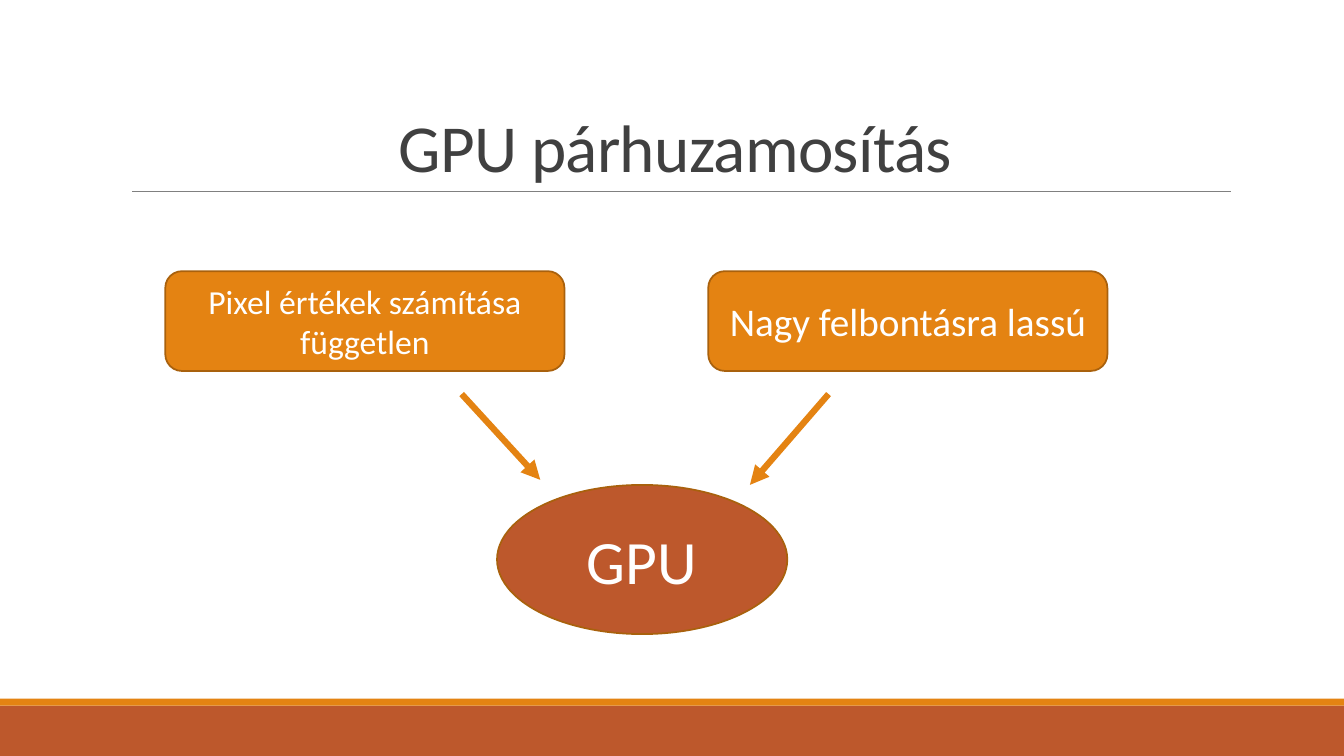
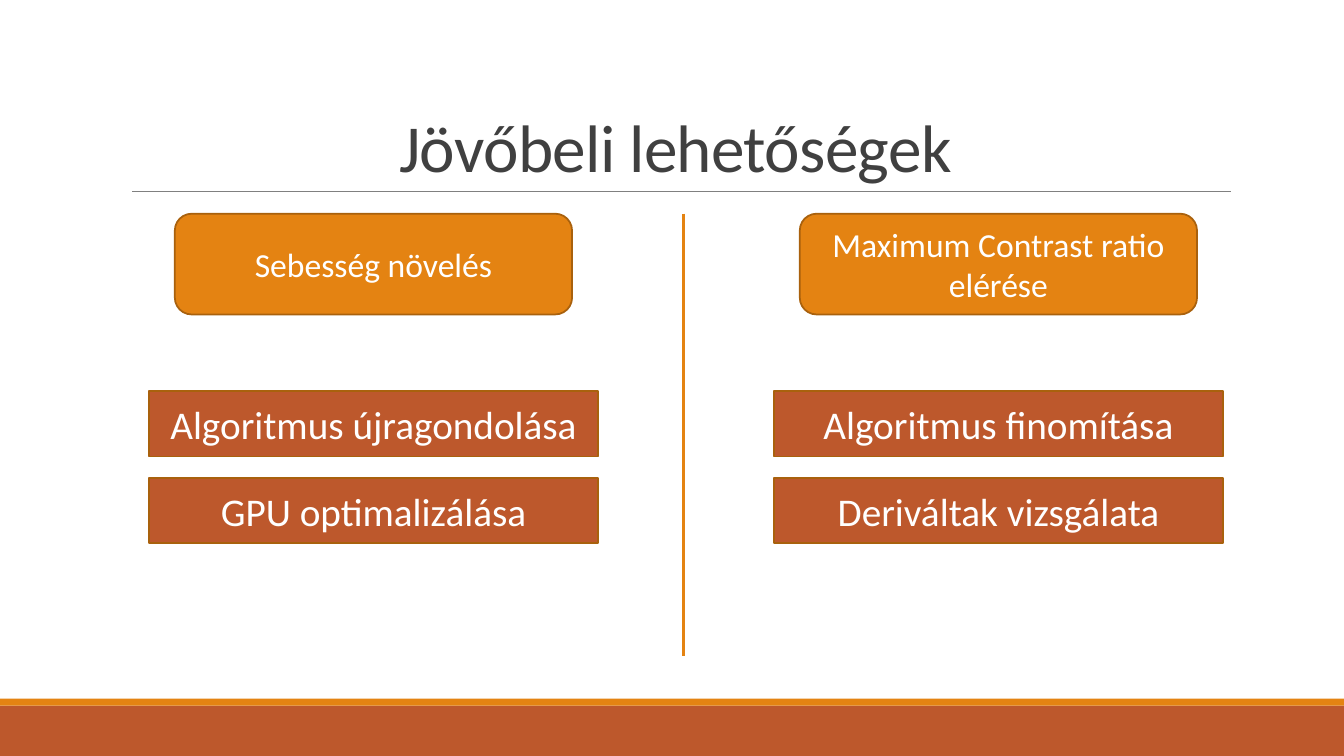
from pptx import Presentation
from pptx.dml.color import RGBColor
from pptx.enum.shapes import MSO_CONNECTOR, MSO_SHAPE
from pptx.enum.text import MSO_ANCHOR, PP_ALIGN
from pptx.oxml.ns import qn
from pptx.util import Inches, Pt
from lxml.etree import SubElement

# Grid: 100 columns by 100 rows on every slide
WIDE, HIGH = Inches(13.33), Inches(7.5)
COL, ROW = WIDE / 100, HIGH / 100

ORANGE, RUST, EDGE = "E48312", "BD582C", "A9610D"
DARK, GREY, WHITE = "404040", "808080", "FFFFFF"
FONT = "Calibri"


def color(code):
    return RGBColor.from_string(code)


def place(x, y, w, h):
    return round(x * COL), round(y * ROW), round(w * COL), round(h * ROW)


def write(shape, text, size, ink, anchor=MSO_ANCHOR.MIDDLE):
    frame = shape.text_frame
    frame.text = text
    frame.word_wrap = True
    frame.vertical_anchor = anchor
    para = frame.paragraphs[0]
    para.alignment = PP_ALIGN.CENTER
    font = para.runs[0].font
    font.name, font.size = FONT, Pt(size)
    font.color.rgb = color(ink)
    return para


def block(slide, kind, box, fill, text="", size=24, edge=EDGE):
    shape = slide.shapes.add_shape(kind, *place(*box))
    shape.shadow.inherit = False
    shape.fill.solid()
    shape.fill.fore_color.rgb = color(fill)
    if edge:
        shape.line.color.rgb = color(edge)
        shape.line.width = Pt(1.25)
    else:
        shape.line.fill.background()
    if text:
        write(shape, text, size, WHITE)


def stroke(slide, start, end, ink, width, arrow=False):
    ends = [round(v * unit) for point in (start, end)
            for v, unit in zip(point, (COL, ROW))]
    line = slide.shapes.add_connector(MSO_CONNECTOR.STRAIGHT, *ends)
    line.line.color.rgb = color(ink)
    line.line.width = Pt(width)
    props = line._element.spPr
    if arrow:
        SubElement(props.find(qn("a:ln")), qn("a:tailEnd"), type="triangle")
    SubElement(props, qn("a:effectLst"))


def base(deck, title):
    """Shared frame: bottom bands, title and rule."""
    slide = deck.slides.add_slide(deck.slide_layouts[6])
    for top, high, fill in ((93.33, 6.67, RUST), (92.4, 0.93, ORANGE)):
        block(slide, MSO_SHAPE.RECTANGLE, (0, top, 100, high), fill, edge=None)
    stroke(slide, (9.83, 25.33), (91.6, 25.33), GREY, 0.5)
    head = slide.shapes.add_textbox(*place(9, 4.13, 82.5, 21.2))
    para = write(head, title, 48, DARK, MSO_ANCHOR.BOTTOM)
    para.line_spacing = 0.85
    para.runs[0]._r.get_or_add_rPr().set("spc", "-50")
    return slide


def funnel(slide, box, causes, goal):
    """Two causes on top, each with an arrow to the goal below."""
    x, y, w, h = box
    wide, high = 29.7, 13.2
    for left, (text, size) in zip((x, x + w - wide), causes):
        block(slide, MSO_SHAPE.ROUNDED_RECTANGLE, (left, y, wide, high),
              ORANGE, text, size)
    # Goal, resting on the bottom of the box
    deep = 19.73
    block(slide, MSO_SHAPE.OVAL, (x + 24.68, y + h - deep, 21.6, deep),
          RUST, goal, 44)
    # Arrows, mirrored about the middle
    mid = x + 35.7
    for side, tip in ((-1, 27.6), (1, 28.27)):
        stroke(slide, (mid + side * 13.65, y + 16.26),
               (mid + side * 7.8, y + tip), ORANGE, 4.5, True)


def column(slide, box, head, steps):
    """A rounded heading centred above a stack of bars."""
    x, y, w, h = box
    wide, high, pitch = 29.56, 8.67, 11.47
    block(slide, MSO_SHAPE.ROUNDED_RECTANGLE,
          (x + (w - wide) / 2, y, wide, 13.33), ORANGE, head)
    top = y + h - high - pitch * (len(steps) - 1)
    for row, text in enumerate(steps):
        block(slide, MSO_SHAPE.RECTANGLE, (x, top + row * pitch, w, high),
              RUST, text, 28)


def main():
    deck = Presentation()
    deck.slide_width, deck.slide_height = WIDE, HIGH

    # Slide 1: reasons for the GPU
    slide = base(deck, "GPU párhuzamosítás")
    funnel(slide, (12.3, 35.87, 70.1, 48),
           (("Pixel értékek számítása független", 24),
            ("Nagy felbontásra lassú", 28)), "GPU")

    # Slide 2: two columns with a divider
    slide = base(deck, "Jövőbeli lehetőségek")
    top = 28.27
    stroke(slide, (50.85, top), (50.85, 86.8), ORANGE, 2.25)
    plans = (
        (11.1, "Sebesség növelés",
         ("Algoritmus újragondolása", "GPU optimalizálása")),
        (57.6, "Maximum Contrast ratio elérése",
         ("Algoritmus finomítása", "Deriváltak vizsgálata")),
    )
    for left, head, steps in plans:
        column(slide, (left, top, 33.38, 43.6), head, steps)

    deck.save("out.pptx")


if __name__ == "__main__":
    main()
